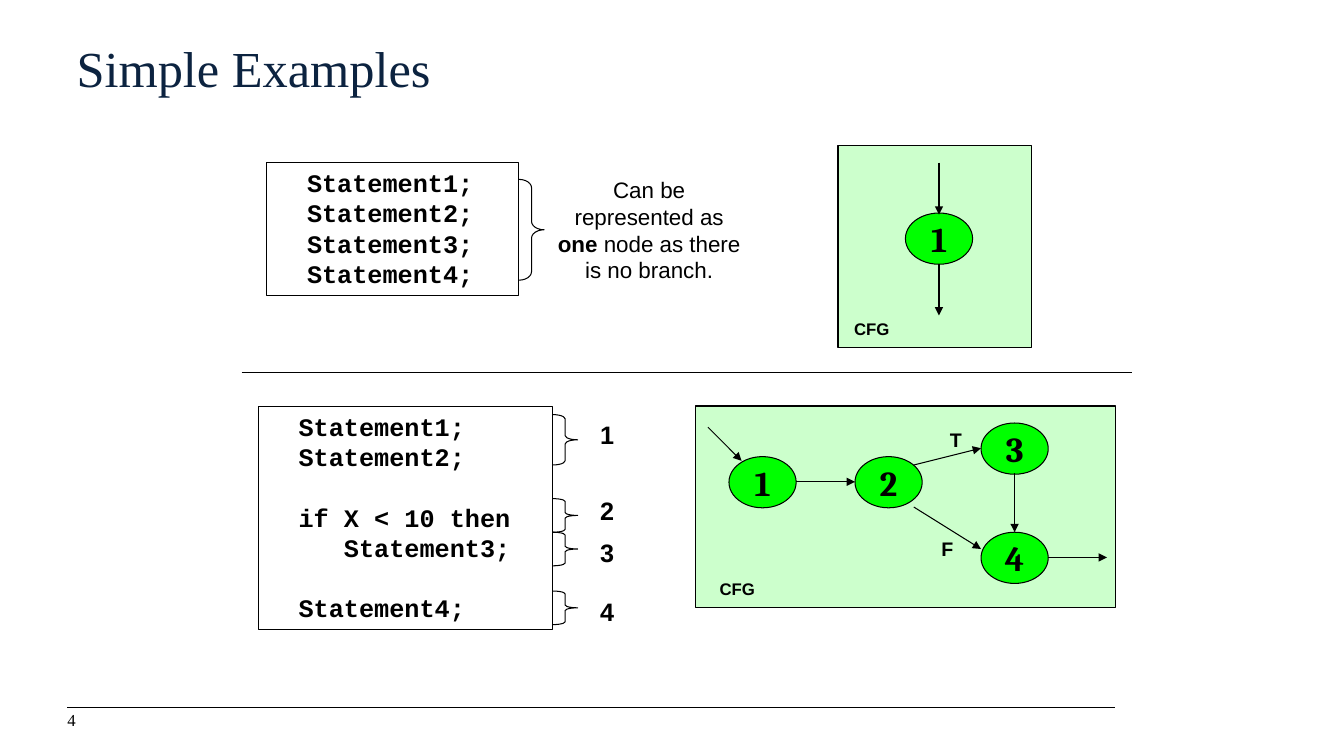
from dataclasses import dataclass
from typing import Optional

from lxml import etree
from pptx import Presentation
from pptx.dml.color import RGBColor
from pptx.enum.shapes import MSO_CONNECTOR, MSO_SHAPE
from pptx.enum.text import MSO_ANCHOR, PP_ALIGN
from pptx.oxml.ns import qn
from pptx.util import Inches, Pt

RECTANGLE, OVAL, BRACE = MSO_SHAPE.RECTANGLE, MSO_SHAPE.OVAL, MSO_SHAPE.RIGHT_BRACE
STRAIGHT = MSO_CONNECTOR.STRAIGHT
LEFT, CENTER = PP_ALIGN.LEFT, PP_ALIGN.CENTER
TOP, MIDDLE = MSO_ANCHOR.TOP, MSO_ANCHOR.MIDDLE
TITLE_ONLY = 5
CELL = 1 / 12
ORIGIN_X, ORIGIN_Y = -0.02, 0.03
NODE_WIDTH, NODE_HEIGHT = 8, 6.1


@dataclass(frozen=True)
class TextFormat:
    name: str
    size: float
    color: str = "000000"
    bold: bool = False


@dataclass(frozen=True)
class Theme:
    ink: str = "000000"
    panel: str = "CCFFCC"
    node: str = "00FF00"
    thin: float = 0.75
    medium: float = 1
    title: TextFormat = TextFormat("Times New Roman", 36, "0C2340")
    page: TextFormat = TextFormat("Times New Roman", 12)
    code: TextFormat = TextFormat("Courier New", 18, bold=True)
    number: TextFormat = TextFormat("Cambria", 25, bold=True)
    remark: TextFormat = TextFormat("Arial", 16)
    strong: TextFormat = TextFormat("Arial", 16, bold=True)
    step: TextFormat = TextFormat("Arial", 18, bold=True)
    branch: TextFormat = TextFormat("Arial", 14, bold=True)
    caption: TextFormat = TextFormat("Arial", 12, bold=True)


THEME = Theme()


@dataclass(frozen=True)
class Area:
    """A box in grid columns and rows."""
    column: float
    row: float
    columns: float
    rows: float

    def lengths(self) -> tuple:
        return (*point(self.column, self.row),
                Inches(self.columns * CELL), Inches(self.rows * CELL))


@dataclass(frozen=True)
class Line:
    start: tuple
    end: tuple
    width: float = THEME.thin
    arrow: bool = True


@dataclass(frozen=True)
class Label:
    text: str
    area: Area
    style: TextFormat


@dataclass(frozen=True)
class CodeStep:
    """A braced group of code lines and its node number."""
    number: str
    brace: Area
    label_row: float


PANELS = [Area(83, 48, 50, 24), Area(100, 17, 23, 24)]
NODES = [("1", 108, 25), ("1", 87, 54), ("2", 102, 54), ("3", 117, 50), ("4", 117, 63)]
LINES = [
    Line((8.25, 83.9), (133, 83.9), arrow=False),
    Line((29, 44), (135, 44), THEME.medium, arrow=False),
    Line((112, 19), (112, 25.2)),
    Line((112, 31.1), (112, 37.2)),
    Line((84.5, 50.5), (88.5, 54.5)),
    Line((95, 57), (102, 57)),
    Line((109, 55), (117, 53)),
    Line((109, 60), (117, 65)),
    Line((121, 56), (121, 63)),
    Line((125, 66), (132, 66)),
]
CODE_STEPS = [
    CodeStep("1", Area(66, 49, 3, 6), 49),
    CodeStep("2", Area(66, 59, 3, 4), 58),
    CodeStep("3", Area(66, 63, 3, 4), 63),
    CodeStep("4", Area(66, 70, 3, 4), 70),
]
LABELS = [
    Label("CFG", Area(100, 37, 8, 3.6), THEME.caption),
    Label("CFG", Area(84, 68, 8, 3.6), THEME.caption),
    Label("T", Area(111, 50, 6, 4), THEME.branch),
    Label("F", Area(110, 63, 6, 4), THEME.branch),
    *(Label(step.number, Area(70, step.label_row, 5, 4.8), THEME.step)
      for step in CODE_STEPS),
]
SEQUENCE = [f"  Statement{number};" for number in range(1, 5)]
BRANCHING = [*SEQUENCE[:2], "  if X < 10 then", "     Statement3;", SEQUENCE[3]]
REMARK = [("Can be represented as ", THEME.remark), ("one ", THEME.strong),
          ("node as there is no branch.", THEME.remark)]


def point(column: float, row: float) -> tuple:
    return Inches(ORIGIN_X + column * CELL), Inches(ORIGIN_Y + row * CELL)


def set_formats(target, formats: dict) -> None:
    for name, value in formats.items():
        setattr(target, name, value)


def add_run(paragraph, text: str, style: TextFormat) -> None:
    run = paragraph.add_run()
    run.text = text
    set_formats(run.font, {"name": style.name, "size": Pt(style.size), "bold": style.bold})
    run.font.color.rgb = RGBColor.from_string(style.color)


def write(frame, runs: list, alignment=CENTER) -> None:
    paragraph = frame.paragraphs[0]
    paragraph.alignment = alignment
    for text, style in runs:
        add_run(paragraph, text, style)


def add_figure(slide, kind, area: Area, fill: Optional[str] = None,
               width: float = THEME.thin):
    shape = slide.shapes.add_shape(kind, *area.lengths())
    shape.shadow.inherit = False
    if fill:
        shape.fill.solid()
        shape.fill.fore_color.rgb = RGBColor.from_string(fill)
    else:
        shape.fill.background()
    shape.line.color.rgb = RGBColor.from_string(THEME.ink)
    shape.line.width = Pt(width)
    return shape


def add_brace(slide, area: Area) -> None:
    add_figure(slide, BRACE, area).adjustments[0] = area.rows / 36


def add_node(slide, number: str, column: float, row: float) -> None:
    shape = add_figure(slide, OVAL, Area(column, row, NODE_WIDTH, NODE_HEIGHT), THEME.node)
    set_formats(shape.text_frame, {"word_wrap": False, "vertical_anchor": MIDDLE})
    write(shape.text_frame, [(number, THEME.number)])


def add_code(slide, area: Area, lines: list, after_gap: tuple = ()) -> None:
    """Draw a code box; lines whose index is in after_gap follow one empty line."""
    frame = add_figure(slide, RECTANGLE, area).text_frame
    set_formats(frame, {"word_wrap": True, "vertical_anchor": TOP})
    pitch = Pt(THEME.code.size * 1.2)
    for index, line in enumerate(lines):
        paragraph = frame.add_paragraph() if index else frame.paragraphs[0]
        set_formats(paragraph, {"alignment": LEFT, "line_spacing": pitch})
        if index in after_gap:
            paragraph.space_before = pitch
        add_run(paragraph, line, THEME.code)


def add_text(slide, area: Area, runs: list, alignment=CENTER):
    frame = slide.shapes.add_textbox(*area.lengths()).text_frame
    frame.word_wrap = True
    write(frame, runs, alignment)
    return frame


def add_line(slide, line: Line) -> None:
    connector = slide.shapes.add_connector(STRAIGHT, *point(*line.start), *point(*line.end))
    connector.line.color.rgb = RGBColor.from_string(THEME.ink)
    connector.line.width = Pt(line.width)
    if line.arrow:
        etree.SubElement(connector.get_or_add_ln(), qn("a:tailEnd"), type="triangle")
    etree.SubElement(connector.element.spPr, qn("a:effectLst"))


def add_title(slide, text: str) -> None:
    title = slide.shapes.title
    title.left, title.top, title.width, title.height = Area(9.36, 4.1, 125, 11.2).lengths()
    set_formats(title.text_frame, {"margin_left": 0, "margin_top": 0, "vertical_anchor": TOP})
    write(title.text_frame, [(text, THEME.title)], LEFT)


def main() -> None:
    presentation = Presentation()
    presentation.slide_width, presentation.slide_height = Inches(13.33), Inches(7.5)
    slide = presentation.slides.add_slide(presentation.slide_layouts[TITLE_ONLY])
    add_title(slide, "Simple Examples")
    for panel in PANELS:
        add_figure(slide, RECTANGLE, panel, THEME.panel, THEME.medium)
    add_code(slide, Area(32, 19, 30, 15.8), SEQUENCE)
    add_code(slide, Area(31, 48, 35, 26.6), BRANCHING, after_gap=(2, 4))
    for brace in [Area(62, 21, 3, 12), *(step.brace for step in CODE_STEPS)]:
        add_brace(slide, brace)
    for node in NODES:
        add_node(slide, *node)
    for line in LINES:
        add_line(slide, line)
    add_text(slide, Area(65, 20, 25, 14), REMARK).paragraphs[0].line_spacing = Pt(19.2)
    for label in LABELS:
        add_text(slide, label.area, [(label.text, label.style)])
    page = add_text(slide, Area(8.25, 84.4, 6.4, 2.5), [("4", THEME.page)], LEFT)
    set_formats(page, {"margin_left": 0, "margin_top": 0, "vertical_anchor": MIDDLE})
    presentation.save("out.pptx")


if __name__ == "__main__":
    main()
